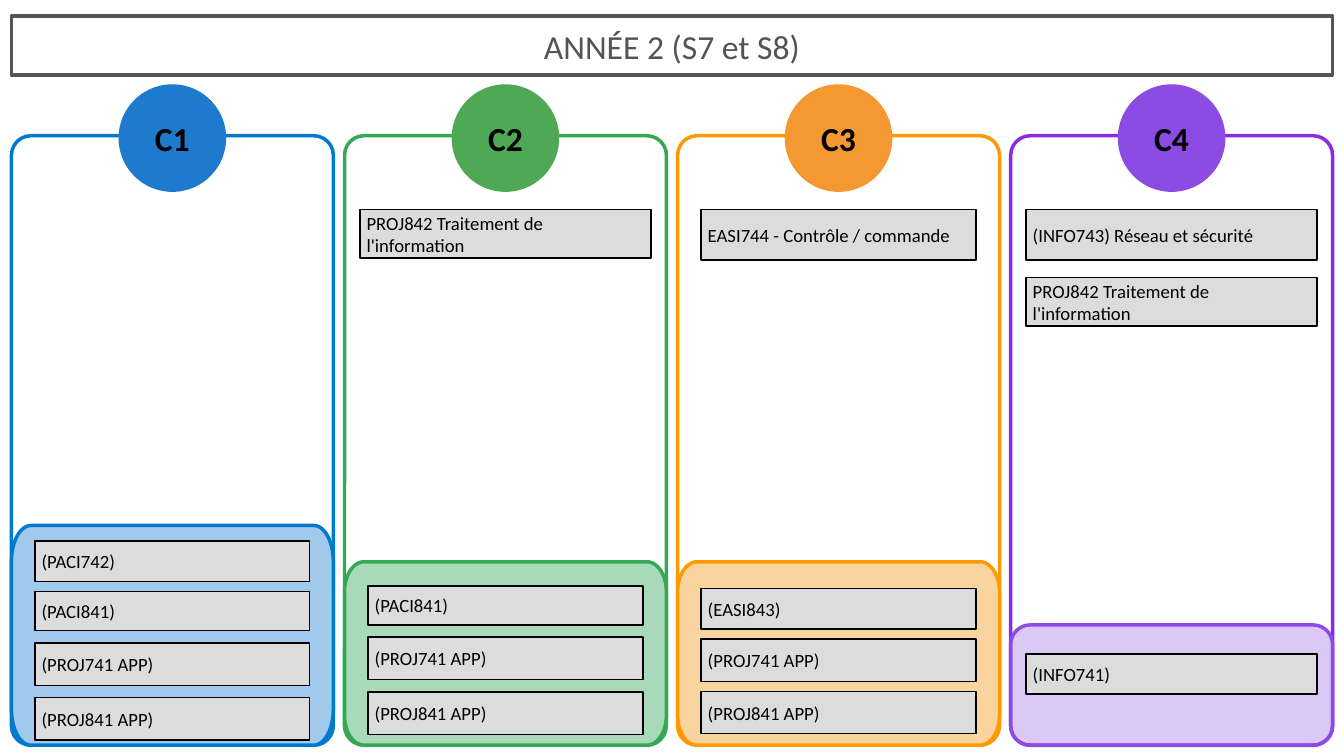
import math

import pptx
import pptx.dml.color
import pptx.enum.shapes
import pptx.enum.text
import pptx.oxml.ns
import pptx.util
from lxml import etree

Inches = pptx.util.Inches
SHAPES = pptx.enum.shapes.MSO_SHAPE
ALIGN = pptx.enum.text.PP_ALIGN
ANCHOR = pptx.enum.text.MSO_ANCHOR

COLOURS = {
    "title": "545454", "black": "000000", "course": "DDDCDC", "course_text": "000005",
    "blue": "007ACC", "blue_disc": "1E7ACC", "blue_panel": "A0C9EB",
    "green": "34A853", "green_disc": "4FA954", "green_panel": "A8DAB9",
    "orange": "FF9900", "orange_disc": "F49831", "orange_panel": "FAD49E",
    "purple": "8A2BE2", "purple_disc": "8C4BE2",
}
LEFT, FRAME_TOP, BOTTOM = 0.17, 2.02, 11.09
FRAME_WIDTH = 4.79
PITCH = (15.04 - LEFT) / 3
CORNER = 0.29
DISC = 1.57
NARROW, WIDE = 4.09, 4.33

# Courses: text, top, width, height
COLUMNS = [
    {"label": "C1", "line": "blue", "disc": "blue_disc", "panel": "blue_panel",
     "panel_line": "blue", "panel_top": 7.82, "courses": [
         ("(PACI742)", 8.05, NARROW, 0.6),
         ("(PACI841)", 8.8, NARROW, 0.58),
         ("(PROJ741 APP)", 9.57, NARROW, 0.63),
         ("(PROJ841 APP)", 10.38, NARROW, 0.63)]},
    {"label": "C2", "line": "green", "disc": "green_disc", "panel": "green_panel",
     "panel_line": "green", "panel_top": 8.36, "courses": [
         ("PROJ842 Traitement de l'information", 3.12, WIDE, 0.72),
         ("(PACI841)", 8.72, NARROW, 0.58),
         ("(PROJ741 APP)", 9.48, NARROW, 0.63),
         ("(PROJ841 APP)", 10.3, NARROW, 0.63)]},
    {"label": "C3", "line": "orange", "disc": "orange_disc", "panel": "orange_panel",
     "panel_line": "orange", "panel_top": 8.36, "courses": [
         ("EASI744 - Contrôle / commande", 3.12, NARROW, 0.75),
         ("(EASI843)", 8.76, NARROW, 0.6),
         ("(PROJ741 APP)", 9.51, NARROW, 0.63),
         ("(PROJ841 APP)", 10.29, NARROW, 0.63)]},
    {"label": "C4", "line": "purple", "disc": "purple_disc", "panel": "purple_disc",
     "panel_line": "purple_disc", "panel_top": 9.3, "opacity": 30, "courses": [
         ("(INFO743) Réseau et sécurité", 3.12, WIDE, 0.75),
         ("PROJ842 Traitement de l'information", 4.13, WIDE, 0.72),
         ("(INFO741)", 9.73, WIDE, 0.6)]},
]


def colour(name):
    return pptx.dml.color.RGBColor.from_string(COLOURS[name])


def paint(shape, fill, line, width):
    if fill:
        shape.fill.solid()
        shape.fill.fore_color.rgb = colour(fill)
    else:
        shape.fill.background()
    shape.line.color.rgb = colour(line)
    shape.line.width = pptx.util.Pt(width)


def write(shape, text, size, text_colour, align, bold=False, inset=None):
    frame = shape.text_frame
    frame_format = {"word_wrap": True, "vertical_anchor": ANCHOR.MIDDLE,
                    "auto_size": pptx.enum.text.MSO_AUTO_SIZE.NONE}
    if inset is not None:
        for side in ("left", "right", "top", "bottom"):
            frame_format["margin_" + side] = Inches(inset)
    for name, value in frame_format.items():
        setattr(frame, name, value)
    paragraph = frame.paragraphs[0]
    paragraph.alignment = align
    run = paragraph.add_run()
    run.text = text
    font_format = {"name": "Calibri", "size": pptx.util.Pt(size), "bold": bold}
    for name, value in font_format.items():
        setattr(run.font, name, value)
    run.font.color.rgb = colour(text_colour)


def add_box(slide, kind, left, top, width, height):
    shape = slide.shapes.add_shape(
        kind, Inches(left), Inches(top), Inches(width), Inches(height))
    shape.shadow.inherit = False
    return shape


def format_title(slide):
    title = slide.shapes.title
    place = {"left": LEFT, "top": 0.24, "width": 19.66, "height": 0.88}
    for name, value in place.items():
        setattr(title, name, Inches(value))
    paint(title, None, "title", 3.75)
    write(title, "ANNÉE 2 (S7 et S8)", 36, "title", ALIGN.CENTER)


def add_frame(slide, left, line):
    frame = add_box(slide, SHAPES.ROUNDED_RECTANGLE, left, FRAME_TOP,
                    FRAME_WIDTH, BOTTOM - FRAME_TOP)
    frame.adjustments[0] = CORNER / FRAME_WIDTH
    paint(frame, None, line, 3.75)


def add_panel(slide, left, column):
    """Add the lower panel, whose corners stretch with its height."""
    top = column["panel_top"]
    right = left + FRAME_WIDTH
    corner_height = 0.163 * (BOTTOM - top)
    centres = [(right - CORNER, BOTTOM - corner_height),
               (left + CORNER, BOTTOM - corner_height),
               (left + CORNER, top + corner_height),
               (right - CORNER, top + corner_height)]
    points = []
    for quarter, (x, y) in enumerate(centres):
        for step in range(13):
            angle = math.pi / 2 * (quarter + step / 12)
            points.append((Inches(x + CORNER * math.cos(angle)),
                           Inches(y + corner_height * math.sin(angle))))
    builder = slide.shapes.build_freeform(*points[0])
    builder.add_line_segments(points[1:], close=True)
    panel = builder.convert_to_shape()
    panel.shadow.inherit = False
    paint(panel, column["panel"], column["panel_line"], 3.75)
    if "opacity" in column:
        qn = pptx.oxml.ns.qn
        fill = panel.fill._xPr.find(qn("a:solidFill"))
        alpha = etree.SubElement(fill[0], qn("a:alpha"))
        alpha.set("val", str(column["opacity"] * 1000))


def add_disc(slide, left, column):
    disc = add_box(slide, SHAPES.OVAL, left + (FRAME_WIDTH - DISC) / 2, 1.27, DISC, DISC)
    paint(disc, column["disc"], column["disc"], 2.25)
    write(disc, column["label"], 36, "black", ALIGN.CENTER, bold=True, inset=0)


def add_course(slide, left, text, top, width, height):
    course = add_box(slide, SHAPES.RECTANGLE, left + (FRAME_WIDTH - width) / 2,
                     top, width, height)
    paint(course, "course", "black", 1.5)
    write(course, text, 20, "course_text", ALIGN.LEFT)


def main():
    presentation = pptx.Presentation()
    presentation.slide_width = Inches(20)
    presentation.slide_height = Inches(11.25)
    slide = presentation.slides.add_slide(presentation.slide_layouts[5])
    format_title(slide)
    for index, column in enumerate(COLUMNS):
        left = LEFT + index * PITCH
        add_frame(slide, left, column["line"])
        add_disc(slide, left, column)
        add_panel(slide, left, column)
        for course in column["courses"]:
            add_course(slide, left, *course)
    presentation.save("out.pptx")


if __name__ == "__main__":
    main()
